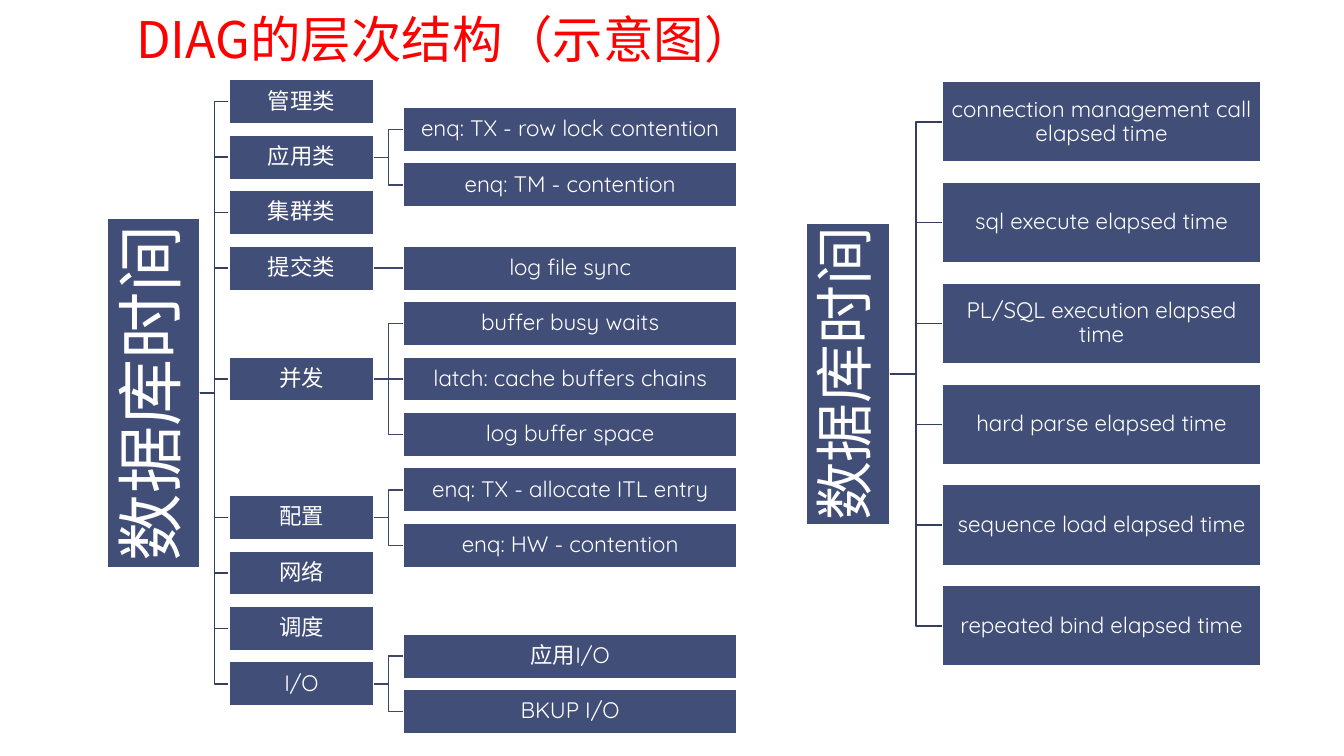
import pptx
import pptx.dml.color
import pptx.enum.shapes
import pptx.enum.text
import pptx.oxml
import pptx.oxml.ns
import pptx.util

LATIN_FONT, CHINESE_FONT = "Quicksand", "Noto Sans CJK SC"
BOX, TRUNK, BRANCH = "414E77", "343E5F", "3B476C"
WHITE, RED = "FFFFFF", "FF0000"
ROOT_TEXT = "数据库时间"

# Wait classes: name, grid row of the first child, child names
WAIT_CLASSES = [
    ("管理类", 0, []),
    ("应用类", 0.5, ["enq: TX - row lock contention", "enq: TM - contention"]),
    ("集群类", 2, []),
    ("提交类", 3, ["log file sync"]),
    ("并发", 4, ["buffer busy waits", "latch: cache buffers chains",
               "log buffer space"]),
    ("配置", 7, ["enq: TX - allocate ITL entry", "enq: HW - contention"]),
    ("网络", 8.5, []),
    ("调度", 9.5, []),
    ("I/O", 10, ["应用I/O", "BKUP I/O"]),
]
TIME_PARTS = [
    "connection management call elapsed time",
    "sql execute elapsed time",
    "PL/SQL execution elapsed time",
    "hard parse elapsed time",
    "sequence load elapsed time",
    "repeated bind elapsed time",
]

# Columns (left, width) and rows (first centre, pitch, box height), in inches
CLASS_COLUMN, EVENT_COLUMN, PART_COLUMN = (2.27, 1.44), (4, 3.31), (9.35, 3.15)
WAIT_ROWS, PART_ROWS = (1.01, 0.55, 0.44), (1.21, 1, 0.8)


def inches(*lengths):
    return [pptx.util.Inches(length) for length in lengths]


def color(hex_text):
    return pptx.dml.color.RGBColor.from_string(hex_text)


def add_text(frame, text, size, hex_text, latin, spacing, inset):
    frame.word_wrap = True
    frame.margin_left, frame.margin_right = inches(inset[0], inset[0])
    frame.margin_top, frame.margin_bottom = inches(inset[1], inset[1])
    paragraph = frame.paragraphs[0]
    paragraph.line_spacing = spacing
    run = paragraph.add_run()
    run.text = text
    run.font.size = pptx.util.Pt(size)
    run.font.name = latin
    run.font.color.rgb = color(hex_text)
    east_asian = pptx.oxml.parse_xml(
        f'<a:ea {pptx.oxml.ns.nsdecls("a")} typeface="{CHINESE_FONT}"/>')
    run.font._element.find(pptx.oxml.ns.qn("a:latin")).addnext(east_asian)
    return paragraph


def add_title(slide, text):
    title = slide.shapes.title
    title.left, title.top, title.width, title.height = inches(
        1.22, 0.08, 11.11, 0.67)
    title.text_frame.vertical_anchor = pptx.enum.text.MSO_ANCHOR.BOTTOM
    paragraph = add_text(title.text_frame, text, 36, RED, CHINESE_FONT, 0.85,
                         (0.13, 0.07))
    paragraph.alignment = pptx.enum.text.PP_ALIGN.LEFT


def add_box(slide, text, center, width, height, size=16, inset=0.01):
    x, y = center
    box = slide.shapes.add_shape(
        pptx.enum.shapes.MSO_SHAPE.RECTANGLE,
        *inches(x - width / 2, y - height / 2, width, height))
    box.shadow.inherit = False
    box.fill.solid()
    box.fill.fore_color.rgb = color(BOX)
    box.line.color.rgb = color(WHITE)
    box.line.width = pptx.util.Pt(1)
    box.text_frame.vertical_anchor = pptx.enum.text.MSO_ANCHOR.MIDDLE
    paragraph = add_text(box.text_frame, text, size, WHITE, LATIN_FONT, 0.9,
                         (inset, inset))
    paragraph.alignment = pptx.enum.text.PP_ALIGN.CENTER
    return box


def add_root(slide, center, length, thickness, size):
    root = add_box(slide, ROOT_TEXT, center, length, thickness, size, 0.03)
    root.rotation = 270


def add_link(slide, start, end, hex_text):
    kinds = pptx.enum.shapes.MSO_CONNECTOR
    level = abs(start[1] - end[1]) < 0.01
    link = slide.shapes.add_connector(
        kinds.STRAIGHT if level else kinds.ELBOW, *inches(*start, *end))
    link.line.color.rgb = color(hex_text)
    link.line.width = pptx.util.Pt(1)
    link._element.spPr.append(pptx.oxml.parse_xml(
        f'<a:effectLst {pptx.oxml.ns.nsdecls("a")}/>'))


def add_child(slide, text, column, rows, row, parent, hex_text):
    """Link a box to its parent's edge and return the middle of its right edge."""
    left, width = column
    first, pitch, height = rows
    y = first + row * pitch
    add_link(slide, parent, (left, y), hex_text)
    add_box(slide, text, (left + width / 2, y), width, height)
    return left + width, y


def add_wait_tree(slide):
    root_x, root_y, thickness = 1.52, 3.9, 0.92
    add_root(slide, (root_x, root_y), 3.47, thickness, 48)
    root_edge = (root_x + thickness / 2, root_y)
    for name, first_row, events in WAIT_CLASSES:
        # A class sits midway between its first and last event
        middle_row = first_row + max(len(events) - 1, 0) / 2
        class_edge = add_child(slide, name, CLASS_COLUMN, WAIT_ROWS,
                               middle_row, root_edge, TRUNK)
        for offset, event in enumerate(events):
            add_child(slide, event, EVENT_COLUMN, WAIT_ROWS,
                      first_row + offset, class_edge, BRANCH)


def add_time_tree(slide):
    root_x, root_y, thickness = 8.41, 3.71, 0.83
    add_root(slide, (root_x, root_y), 2.99, thickness, 42)
    root_edge = (root_x + thickness / 2, root_y)
    for row, part in enumerate(TIME_PARTS):
        add_child(slide, part, PART_COLUMN, PART_ROWS, row, root_edge, TRUNK)


def main():
    deck = pptx.Presentation()
    deck.slide_width, deck.slide_height = inches(13.33, 7.5)
    slide = deck.slides.add_slide(deck.slide_layouts.get_by_name("Title Only"))
    slide.background.fill.solid()
    slide.background.fill.fore_color.rgb = color(WHITE)

    add_title(slide, "DIAG的层次结构（示意图）")
    add_wait_tree(slide)
    add_time_tree(slide)
    deck.save("out.pptx")


if __name__ == "__main__":
    main()
